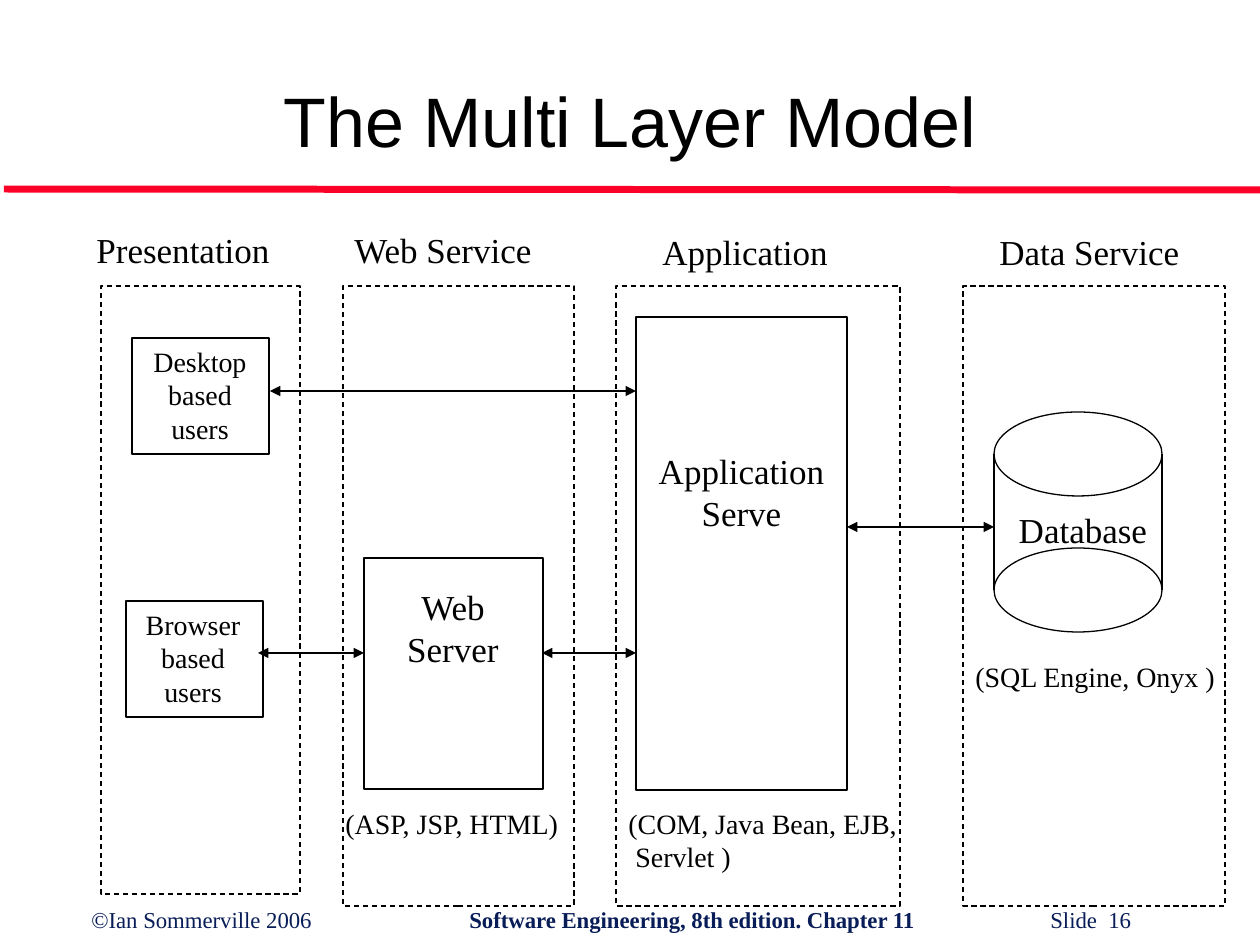
from lxml.etree import SubElement
from pptx import Presentation
from pptx.dml.color import RGBColor
from pptx.enum.dml import MSO_LINE
from pptx.enum.shapes import MSO_CONNECTOR, MSO_SHAPE
from pptx.enum.text import MSO_ANCHOR, PP_ALIGN
from pptx.oxml.ns import qn
from pptx.util import Pt

SCALE = 914400 / 126  # EMU per px
COLORS = {"ink": "000000", "rule": "FC0128", "footer": "081D58"}
SERIF = "Times New Roman"


def px(*lengths):
    """Turn px lengths into whole EMU."""
    return [round(length * SCALE) for length in lengths]


def add_label(box, lines, size, align=PP_ALIGN.LEFT):
    """Add a serif text box with one paragraph per line."""
    frame = slide.shapes.add_textbox(*px(*box)).text_frame
    frame.word_wrap = True
    frame.text = "\n".join(lines)
    for line in frame.paragraphs:
        line.alignment = align
        font_format = {"name": SERIF, "size": Pt(size)}
        for attribute, value in font_format.items():
            setattr(line.font, attribute, value)
        line.font.color.rgb = RGBColor.from_string(COLORS["ink"])
    return frame


prs = Presentation()
prs.slide_width, prs.slide_height = px(1260, 945)
slide = prs.slides.add_slide(prs.slide_layouts[5])

# Title
title = slide.shapes.title
title_box = zip(("left", "top", "width", "height"), px(92, 42, 1075, 126))
for attribute, value in title_box:
    setattr(title, attribute, value)
title.text_frame.text = "The Multi Layer Model"
title.text_frame.vertical_anchor = MSO_ANCHOR.BOTTOM
heading = title.text_frame.paragraphs[0]
heading.alignment = PP_ALIGN.CENTER
for attribute, value in {"name": "Arial", "size": Pt(40)}.items():
    setattr(heading.font, attribute, value)
heading.font.color.rgb = RGBColor.from_string(COLORS["ink"])

# Layer frames (dashed), component boxes and the two ends of the database drum
outlines = [
    (MSO_SHAPE.RECTANGLE, (101, 286, 199, 608), True),
    (MSO_SHAPE.RECTANGLE, (343, 286, 231, 620), True),
    (MSO_SHAPE.RECTANGLE, (616, 286, 284, 620), True),
    (MSO_SHAPE.RECTANGLE, (963, 286, 262, 620), True),
    (MSO_SHAPE.RECTANGLE, (132, 338, 137, 116), False),
    (MSO_SHAPE.RECTANGLE, (126, 601, 137, 116), False),
    (MSO_SHAPE.RECTANGLE, (364, 558, 179, 231), False),
    (MSO_SHAPE.RECTANGLE, (636, 317, 211, 473), False),
    (MSO_SHAPE.OVAL, (994, 412, 168, 84), False),
    (MSO_SHAPE.OVAL, (994, 548, 168, 84), False),
]
for preset, box, dashed in outlines:
    outline = slide.shapes.add_shape(preset, *px(*box))
    outline.shadow.inherit = False
    outline.fill.background()
    outline.line.color.rgb = RGBColor.from_string(COLORS["ink"])
    outline.line.width = Pt(0.75)
    if dashed:
        outline.line.dash_style = MSO_LINE.DASH

# Title rule, drum sides and two-way links
lines = [
    ((4, 189, 1260, 190), "rule", 4, False),
    ((994, 454, 994, 590), "ink", 0.75, False),
    ((1162, 454, 1162, 590), "ink", 0.75, False),
    ((270, 391, 636, 391), "ink", 0.75, True),
    ((258, 653, 364, 653), "ink", 0.75, True),
    ((542, 653, 636, 653), "ink", 0.75, True),
    ((847, 527, 994, 527), "ink", 0.75, True),
]
for ends, color, width, two_way in lines:
    link = slide.shapes.add_connector(MSO_CONNECTOR.STRAIGHT, *px(*ends))
    link.line.color.rgb = RGBColor.from_string(COLORS[color])
    link.line.width = Pt(width)
    if two_way:
        for end in ("a:headEnd", "a:tailEnd"):
            SubElement(link.line._get_or_add_ln(), qn(end), type="triangle")
    SubElement(link._element.spPr, qn("a:effectLst"))

# Layer names
for name, box in [
    ("Presentation", (84, 222, 210, 55)),
    ("Web Service", (342, 222, 216, 55)),
    ("Application", (650, 224, 202, 55)),
    ("Data Service", (987, 224, 216, 55)),
]:
    add_label(box, [name], 20)

# Component names
for words, box, size in [
    (["Desktop", "based", "users"], (134, 338, 132, 113), 16),
    (["Browser", "based", "users"], (133, 601, 120, 113), 16),
    (["Web", "Server"], (374, 579, 158, 139), 20),
    (["Application", "Serve"], (636, 443, 211, 97), 20),
    (["Database"], (1001, 502, 164, 55), 20),
]:
    add_label(box, words, size, PP_ALIGN.CENTER)

# Technologies
add_label((333, 800, 255, 47), ["(ASP, JSP, HTML)"], 16)
add_label((963, 653, 285, 47), ["(SQL Engine, Onyx )"], 16)
application_tools = add_label(
    (616, 800, 306, 81), ["(COM, Java Bean, EJB,", "Servlet )"], 16)
application_tools.paragraphs[1]._p.get_or_add_pPr().set("marL", str(px(7)[0]))

# Footer
footer = add_label((79, 900, 1124, 40), [""], 13).paragraphs[0]
footer_properties = footer._p.get_or_add_pPr()
tab_list = SubElement(footer_properties, qn("a:tabLst"))
for stop in px(378, 959):
    SubElement(tab_list, qn("a:tab"), pos=str(stop), algn="l")
# The paragraph defaults must follow the tab list
defaults = footer_properties.find(qn("a:defRPr"))
if defaults is not None:
    footer_properties.append(defaults)
for words, bold in [
    ("©Ian Sommerville 2006\t", False),
    ("Software Engineering, 8th edition. Chapter 11", True),
    ("\tSlide  16", False),
]:
    part = footer.add_run()
    part.text = words
    for attribute, value in {"name": SERIF, "size": Pt(13), "bold": bold}.items():
        setattr(part.font, attribute, value)
    part.font.color.rgb = RGBColor.from_string(COLORS["footer"])

prs.save("out.pptx")
